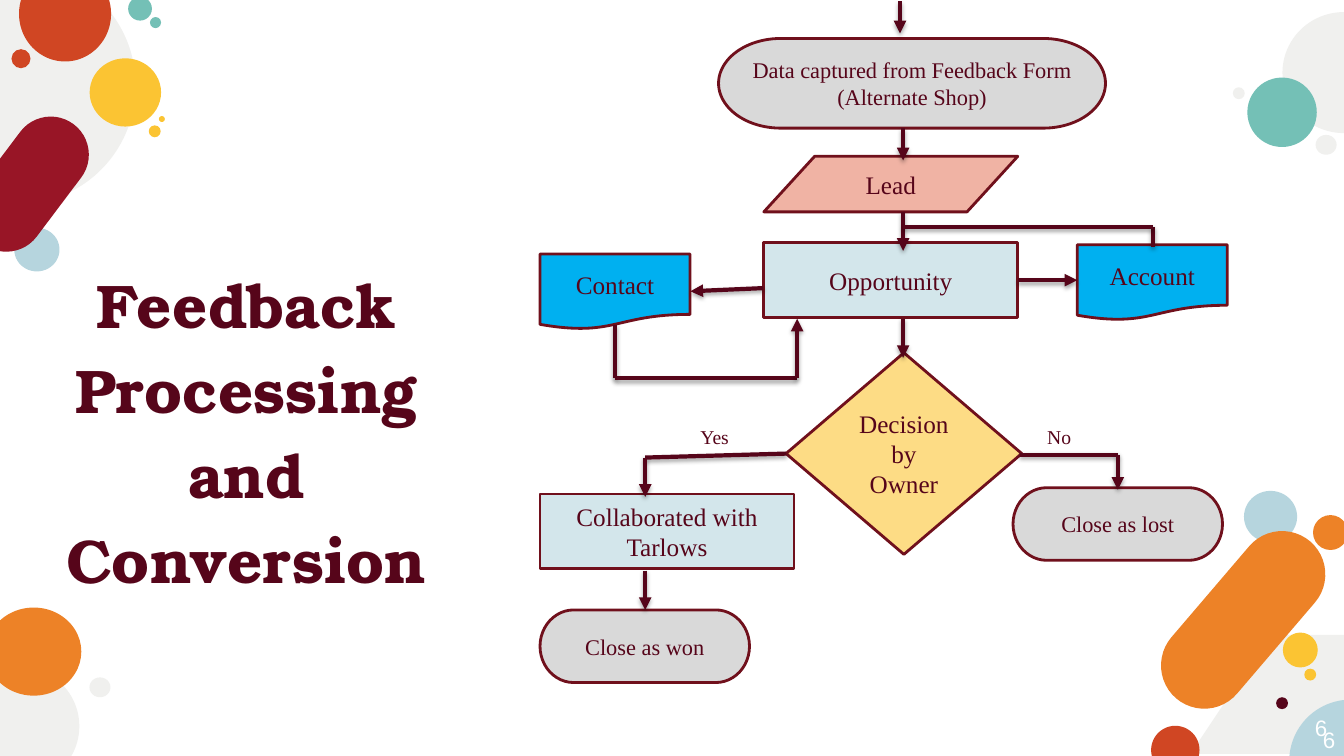
from itertools import pairwise

from lxml.etree import SubElement
from pptx import Presentation
from pptx.dml.color import RGBColor
from pptx.enum.shapes import MSO_CONNECTOR, MSO_SHAPE
from pptx.enum.text import MSO_ANCHOR, PP_ALIGN
from pptx.oxml import parse_xml
from pptx.oxml.ns import nsdecls, qn
from pptx.util import Cm, Pt

WINE, MAROON, CRIMSON = "56051A", "70101C", "981526"
PALE, RED, YELLOW = "F0F0EE", "D04623", "FBC433"
ORANGE, BLUE, TEAL = "ED8227", "B6D5DE", "74C0B6"
GREY, ICE, SKY = "D9D9D9", "D3E6EB", "00B0F0"


def paint(fill, color):
    """Give a fill or a line one plain colour."""
    fill.solid()
    fill.fore_color.rgb = RGBColor.from_string(color)


def write(shape, text, size, font="Times New Roman", color=WINE, align=PP_ALIGN.CENTER):
    """Put one paragraph in a shape and return the paragraph."""
    paragraph = shape.text_frame.paragraphs[0]
    paragraph.text = text
    paragraph.alignment = align
    paragraph.font.size = Pt(size)
    paragraph.font.name = font
    paragraph.font.color.rgb = RGBColor.from_string(color)
    return paragraph


presentation = Presentation()
presentation.slide_width, presentation.slide_height = Cm(33.87), Cm(19.05)
slide = presentation.slides.add_slide(presentation.slide_layouts[6])
shapes = slide.shapes

# Decoration: a pale corner, then round blobs and tilted capsules from back to front
corner = shapes.build_freeform(33.87, 15.75, scale=Cm(1))
corner.add_line_segments([(33.1, 15.8), (32.1, 16.4), (29.9, 19.05), (33.87, 19.05)])
decorations = [(corner.convert_to_shape(), PALE)]

blobs = [  # colour, centre x, centre y, length, thickness, tilt
    (RED, 29.62, 18.9, 1.22, 1.22, 0),
    (YELLOW, 32.77, 16.38, 0.88, 0.88, 0),
    (YELLOW, 33.02, 17, 0.3, 0.3, 0),
    (WINE, 32.31, 17.72, 0.3, 0.3, 0),
    (ORANGE, 33.53, 13.42, 0.88, 0.88, 0),
    (BLUE, 32.02, 13.02, 1.34, 1.3, 0),
    (ORANGE, 31.33, 15.62, 5.2, 2.18, -49.5),
    (BLUE, 34.04, 19.18, 3.1, 3.1, 0),
    (PALE, 0.5, 2.16, 5.84, 5.94, 0),
    (PALE, 33.87, 1.83, 3.1, 3.05, 0),
    (RED, 1.64, 0.35, 2.32, 2.4, 0),
    (RED, 0.53, 1.48, 0.48, 0.48, 0),
    (TEAL, 32.31, 2.83, 1.75, 1.75, 0),
    (TEAL, 3.53, 0.22, 0.6, 0.6, 0),
    (TEAL, 3.92, 0.57, 0.28, 0.28, 0),
    (YELLOW, 3.16, 2.33, 1.8, 1.72, 0),
    (YELLOW, 3.9, 3.31, 0.3, 0.3, 0),
    (YELLOW, 4.08, 3, 0.15, 0.15, 0),
    (PALE, 0.5, 18.3, 3, 3, 0),
    (ORANGE, 0.85, 16.42, 2.4, 2.22, 0),
    (BLUE, 0.93, 6.29, 1.14, 1.1, 0),
    (PALE, 33.42, 3.65, 0.53, 0.5, 0),
    (PALE, 31.22, 2.35, 0.3, 0.3, 0),
    (CRIMSON, 0.72, 4.64, 3.78, 1.92, -53),
    (PALE, 2.52, 17.32, 0.53, 0.5, 0),
]
for color, x, y, length, thickness, tilt in blobs:
    kind = MSO_SHAPE.ROUNDED_RECTANGLE if tilt else MSO_SHAPE.OVAL
    blob = shapes.add_shape(kind, Cm(x - length / 2), Cm(y - thickness / 2),
                            Cm(length), Cm(thickness))
    if tilt:
        blob.adjustments[0] = 0.5
        blob.rotation = tilt
    decorations.append((blob, color))
for decoration, color in decorations:
    decoration.shadow.inherit = False
    paint(decoration.fill, color)
    decoration.line.fill.background()

# Title and page numbers
title = shapes.add_textbox(Cm(1.02), Cm(6.45), Cm(10.39), Cm(6.86))
number_boxes = [shapes.add_textbox(Cm(32.51), Cm(18.24), Cm(1.14), Cm(0.81)),
                shapes.add_textbox(Cm(31.42), Cm(17.6), Cm(2.03), Cm(1.45))]
for box in [title, *number_boxes]:
    frame = box.text_frame
    frame.word_wrap = True
    frame.margin_left = frame.margin_right = frame.margin_top = frame.margin_bottom = 0
heading = write(title, "Feedback Processing and Conversion", 44, "TeX Gyre Bonum")
heading.font.bold = True
heading.line_spacing = 1.15
for box in number_boxes:
    box.text_frame.vertical_anchor = MSO_ANCHOR.MIDDLE
    write(box, "6", 16, "Arial", "FFFFFF", PP_ALIGN.RIGHT)

# Flowchart steps: each kind has its shape, fill, text size, width and height
kinds = {
    "source": (MSO_SHAPE.FLOWCHART_TERMINATOR, GREY, 16, 9.75, 2.26),
    "lead": (MSO_SHAPE.FLOWCHART_DATA, "F0B3A4", 18, 6.4, 1.4),
    "process": (MSO_SHAPE.RECTANGLE, ICE, 18, 6.4, 1.88),
    "record": (MSO_SHAPE.FLOWCHART_DOCUMENT, SKY, 18, 3.78, 1.9),
    "result": (MSO_SHAPE.FLOWCHART_TERMINATOR, GREY, 16, 5.28, 1.83),
    "decision": (MSO_SHAPE.DIAMOND, "FDDC85", 18, 5.94, 5.08),
}
LEFT, MIDDLE = 13.61, 19.25
steps = [
    ("Data captured from Feedback Form (Alternate Shop)", "source", 18.11, 0.97),
    ("Lead", "lead", MIDDLE, 3.94),
    ("Opportunity", "process", MIDDLE, 6.12),
    ("Contact", "record", LEFT, 6.4),
    ("Account", "record", 27.15, 6.17),
    ("Collaborated with Tarlows", "process", LEFT, 12.45),
    ("Close as won", "result", LEFT, 15.37),
    ("Close as lost", "result", 25.53, 12.29),
    ("Decision by Owner", "decision", 19.81, 8.89),
]
for text, kind, left, top in steps:
    outline, color, size, width, height = kinds[kind]
    step = shapes.add_shape(outline, Cm(left), Cm(top), Cm(width), Cm(height))
    step.shadow.inherit = False
    paint(step.fill, color)
    paint(step.line.fill, MAROON)
    step.line.width = Pt(2)
    step.text_frame.word_wrap = True
    step.text_frame.vertical_anchor = MSO_ANCHOR.MIDDLE
    write(step, text, size)

# Routes run through their corners; an arrow ends the last stretch
SPINE, WON, LOST = 22.76, 16.26, 28.17
account_loop = [(29.06, 6.22), (29.06, 5.72), (SPINE, 5.72)]
routes = [
    [(22.68, 0.03), (22.68, 0.84)],
    [(SPINE, 3.23), (SPINE, 4.04)],
    [(SPINE, 5.33), (SPINE, 6.32)],
    [(SPINE, 8.03), (SPINE, 9.02)],
    [(25.65, 7.06), (27.15, 7.06)],
    [(19.23, 7.26), (17.4, 7.34)],
    account_loop,
    [(15.49, 8.18), (15.49, 9.53), (20.09, 9.53), (20.09, 8.03)],
    [(19.81, 11.43), (WON, 11.53), (WON, 12.52)],
    [(WON, 14.38), (WON, 15.37)],
    [(25.7, 11.46), (LOST, 11.46), (LOST, 12.34)],
]
for route in routes:
    for start, end in pairwise(route):
        connector = shapes.add_connector(MSO_CONNECTOR.STRAIGHT,
                                         *[Cm(length) for length in start + end])
        paint(connector.line.fill, WINE)
        connector.line.width = Pt(3)
        if end == route[-1] and route is not account_loop:
            SubElement(connector.line._get_or_add_ln(), qn("a:tailEnd"), type="triangle")
        connector._element.spPr.append(parse_xml(
            f'<a:effectLst {nsdecls("a")}><a:outerShdw blurRad="39370" dist="22860" '
            'dir="5400000" rotWithShape="0"><a:srgbClr val="000000"><a:alpha val="35000"/>'
            '</a:srgbClr></a:outerShdw></a:effectLst>'))

for text, left, width in [("Yes", 17.4, 1.24), ("No", 26.14, 1.12)]:
    label = shapes.add_textbox(Cm(left), Cm(10.59), Cm(width), Cm(0.86))
    label.text_frame.word_wrap = False
    write(label, text, 14, align=PP_ALIGN.LEFT)

presentation.save("out.pptx")
